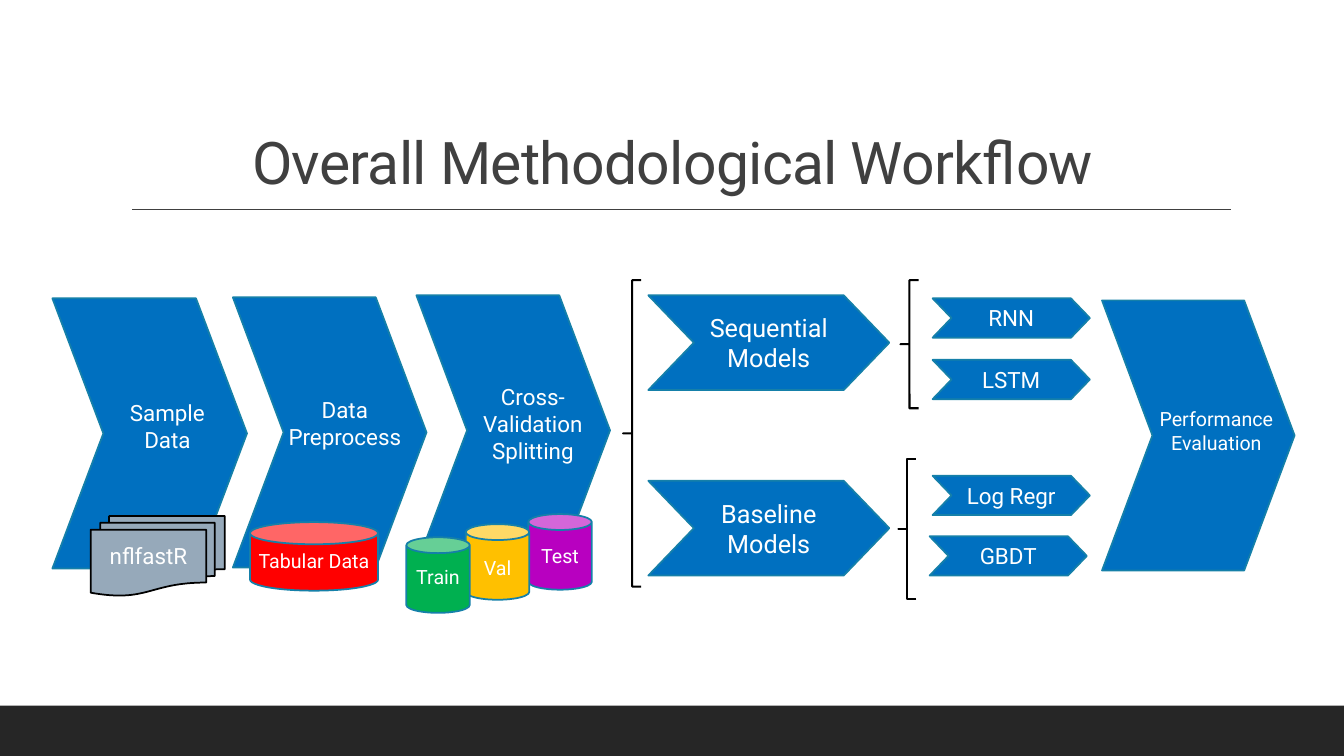
from lxml import etree
from pptx import Presentation
from pptx.dml.color import RGBColor
from pptx.enum.shapes import MSO_CONNECTOR, MSO_SHAPE
from pptx.enum.text import MSO_ANCHOR, MSO_AUTO_SIZE, PP_ALIGN
from pptx.oxml.ns import qn
from pptx.util import Pt

EMU_PER_PX = 9144
FONT = "Roboto"
BLUE, EDGE, BLACK, WHITE, DARK = "0070C0", "1580A9", "000000", "FFFFFF", "404040"
RECTANGLE, CHEVRON, CAN = MSO_SHAPE.RECTANGLE, MSO_SHAPE.CHEVRON, MSO_SHAPE.CAN
DOCUMENTS, BRACE = MSO_SHAPE.FLOWCHART_MULTIDOCUMENT, MSO_SHAPE.LEFT_BRACE
STRAIGHT = MSO_CONNECTOR.STRAIGHT
LEFT, CENTER = PP_ALIGN.LEFT, PP_ALIGN.CENTER
TOP, MIDDLE, BOTTOM = MSO_ANCHOR.TOP, MSO_ANCHOR.MIDDLE, MSO_ANCHOR.BOTTOM
NO_AUTOFIT = MSO_AUTO_SIZE.NONE


def px(*lengths):
    """Turn lengths in px into a list of EMU."""
    return [length * EMU_PER_PX for length in lengths]


def color(value):
    """Turn a hex string into a colour."""
    return RGBColor.from_string(value)


def write_text(shape, text, size=16, fill=WHITE, align=CENTER, anchor=TOP, line_spacing=None):
    """Write one formatted paragraph into a shape and return it."""
    frame = shape.text_frame
    frame.word_wrap = True
    frame.auto_size = NO_AUTOFIT
    frame.vertical_anchor = anchor
    paragraph = frame.paragraphs[0]
    paragraph.alignment = align
    paragraph.line_spacing = line_spacing
    run = paragraph.add_run()
    run.text = text
    run.font.name = FONT
    run.font.size = Pt(size)
    run.font.color.rgb = color(fill)
    return paragraph


def add_label(slide, box, text, **text_format):
    """Add a text box."""
    write_text(slide.shapes.add_textbox(*px(*box)), text, **text_format)


def add_block(slide, preset, box, fill=None, line=EDGE, width=1.25, adjust=None):
    """Add a preset shape with its fill, outline and adjustment."""
    shape = slide.shapes.add_shape(preset, *px(*box))
    shape.shadow.inherit = False
    if fill:
        shape.fill.solid()
        shape.fill.fore_color.rgb = color(fill)
    else:
        shape.fill.background()
    if line:
        shape.line.color.rgb = color(line)
        shape.line.width = Pt(width)
    else:
        shape.line.fill.background()
    if adjust is not None:
        shape.adjustments[0] = adjust
    return shape


def add_frame(slide, box):
    """Place the title, the rule below it and the footer band."""
    left, top, width, height = box
    title = slide.shapes.title
    title.left, title.top, title.width, title.height = px(left + 117, top + 42, 1100, 159)
    paragraph = write_text(title, "Overall Methodological Workflow", size=42, fill=DARK,
                           anchor=BOTTOM, line_spacing=0.9)
    paragraph.runs[0].font._element.set("spc", "-50")
    rule = slide.shapes.add_connector(STRAIGHT, *px(left + 131, top + 208, left + 1221, top + 208))
    rule.line.color.rgb = color(DARK)
    rule.line.width = Pt(1)
    etree.SubElement(rule._element.spPr, qn("a:effectLst"))
    add_block(slide, RECTANGLE, (left, top + height - 50, width, 50), "262626", line=None)


def add_stage(slide, box, text, label_offset, label_size, size=16):
    """Add a tall chevron with its label at an offset inside the box."""
    add_block(slide, CHEVRON, box, BLUE, adjust=0.262)
    label_box = (box[0] + label_offset[0], box[1] + label_offset[1], *label_size)
    add_label(slide, label_box, text, size=size)


def add_can(slide, box, text, fill, label_drop, adjust=0.25):
    """Add a data store with a label centred across it."""
    left, top, width, _ = box
    add_block(slide, CAN, box, fill, adjust=adjust)
    add_label(slide, (left - 17, top + label_drop, width + 34, 34), text, size=14)


def add_documents(slide, box, text):
    """Add a stack of documents with its label."""
    left, top, _, _ = box
    add_block(slide, DOCUMENTS, box, "96A9BA", BLACK)
    add_label(slide, (left + 9, top + 21, 117, 38), text, align=LEFT)


def add_arrow(slide, box, text, size):
    """Add a flat chevron that holds its own text."""
    shape = add_block(slide, CHEVRON, box, BLUE, adjust=0.481)
    write_text(shape, text, size=size, anchor=MIDDLE)


def add_brace(slide, box):
    """Add a square brace that opens to the right."""
    add_block(slide, BRACE, box, line=BLACK, width=1.5, adjust=0)


def add_branch(slide, box, family, brace_box, models):
    """Add a model family, its brace and its models, placed from the box's corner."""
    left, top, _, _ = box
    add_arrow(slide, box, family, 18)
    brace_left, brace_top, *brace_size = brace_box
    add_brace(slide, (left + brace_left, top + brace_top, *brace_size))
    for model, across, down in models:
        add_arrow(slide, (left + across, top + down, 156, 39), model, 16)


def main():
    """Build the workflow slide."""
    presentation = Presentation()
    presentation.slide_width, presentation.slide_height = px(1333, 750)
    slide = presentation.slides.add_slide(presentation.slide_layouts[5])
    add_frame(slide, (0, 0, 1333, 750))

    add_stage(slide, (52, 296, 193, 268), "Sample Data", (53, 95), (122, 66))
    add_documents(slide, (90, 512, 133, 79), "nflfastR")
    add_stage(slide, (231, 295, 192, 268), "Data Preprocess", (30, 93), (162, 66))
    add_can(slide, (248, 518, 127, 68), "Tabular Data", "FF0000", 22, adjust=0.323)
    add_stage(slide, (413, 293, 192, 268), "Cross- Validation Splitting", (34, 82), (163, 93))
    for left, top, text, fill, drop in (
        (524, 510, "Test", "B800C0", 25),
        (462, 520, "Val", "FFC000", 27),
        (403, 533, "Train", "00B050", 23),
    ):
        add_can(slide, (left, top, 63, 75), text, fill, drop)

    add_brace(slide, (618, 278, 18, 304))
    add_branch(slide, (643, 293, 239, 94), "Sequential Models", (250, -15, 18, 127),
               (("RNN", 282, 3), ("LSTM", 282, 64)))
    add_branch(slide, (643, 477, 239, 94), "Baseline Models", (248, -22, 18, 139),
               (("Log Regr", 282, -5), ("GBDT", 279, 55)))
    add_stage(slide, (1093, 298, 191, 268), "Performance Evaluation", (32, 101), (163, 59), size=14)
    presentation.save("out.pptx")


if __name__ == "__main__":
    main()
